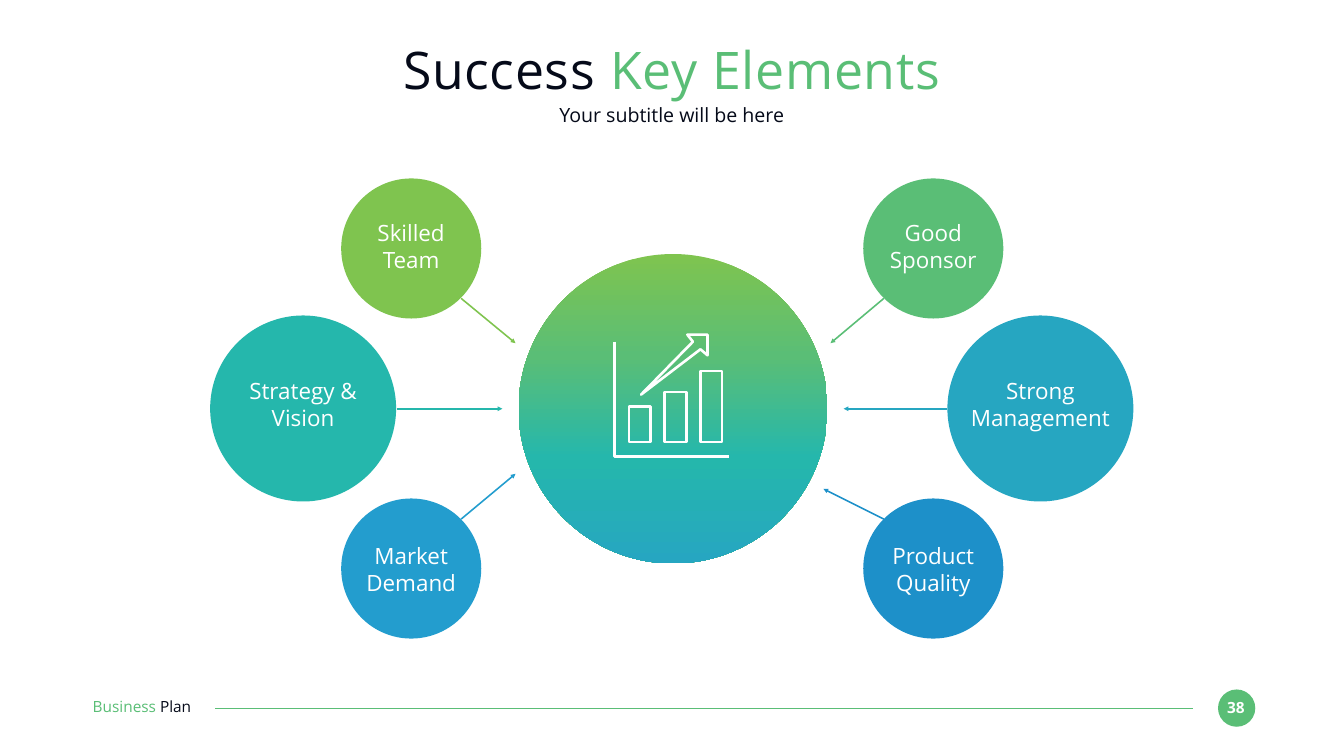
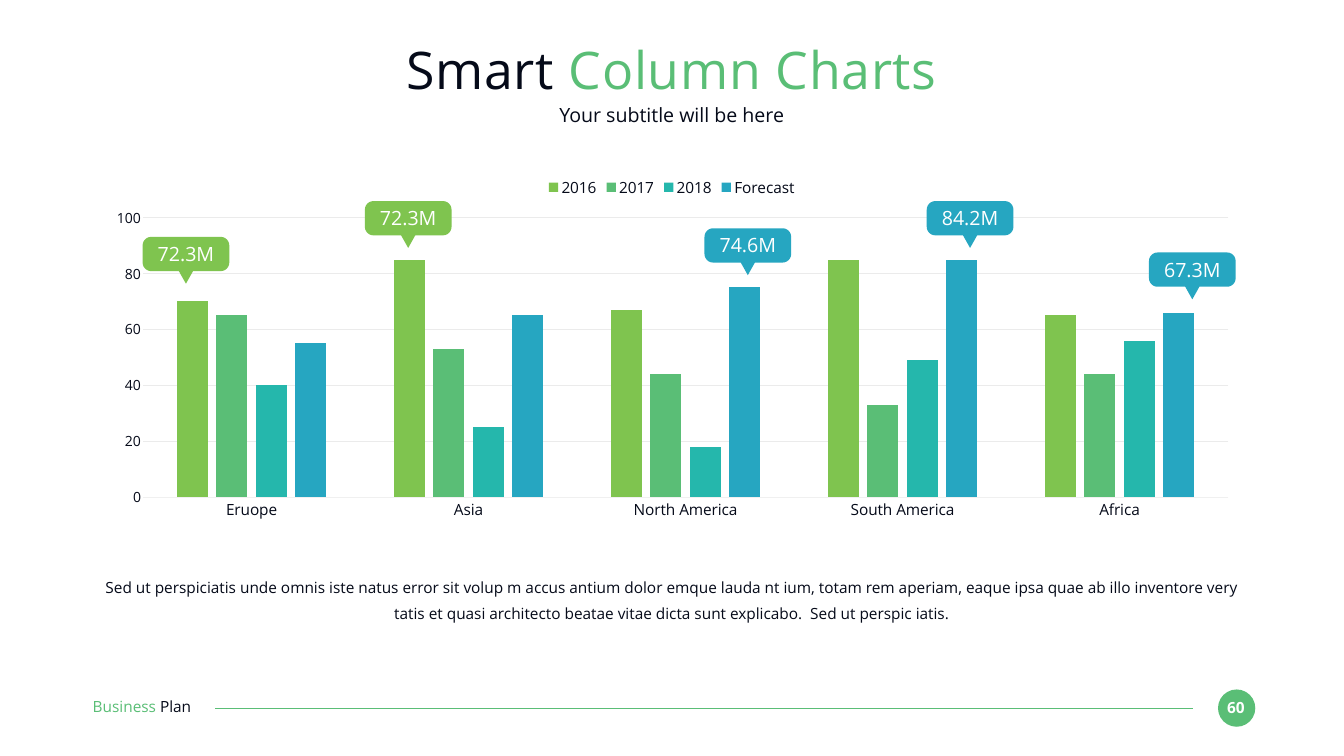
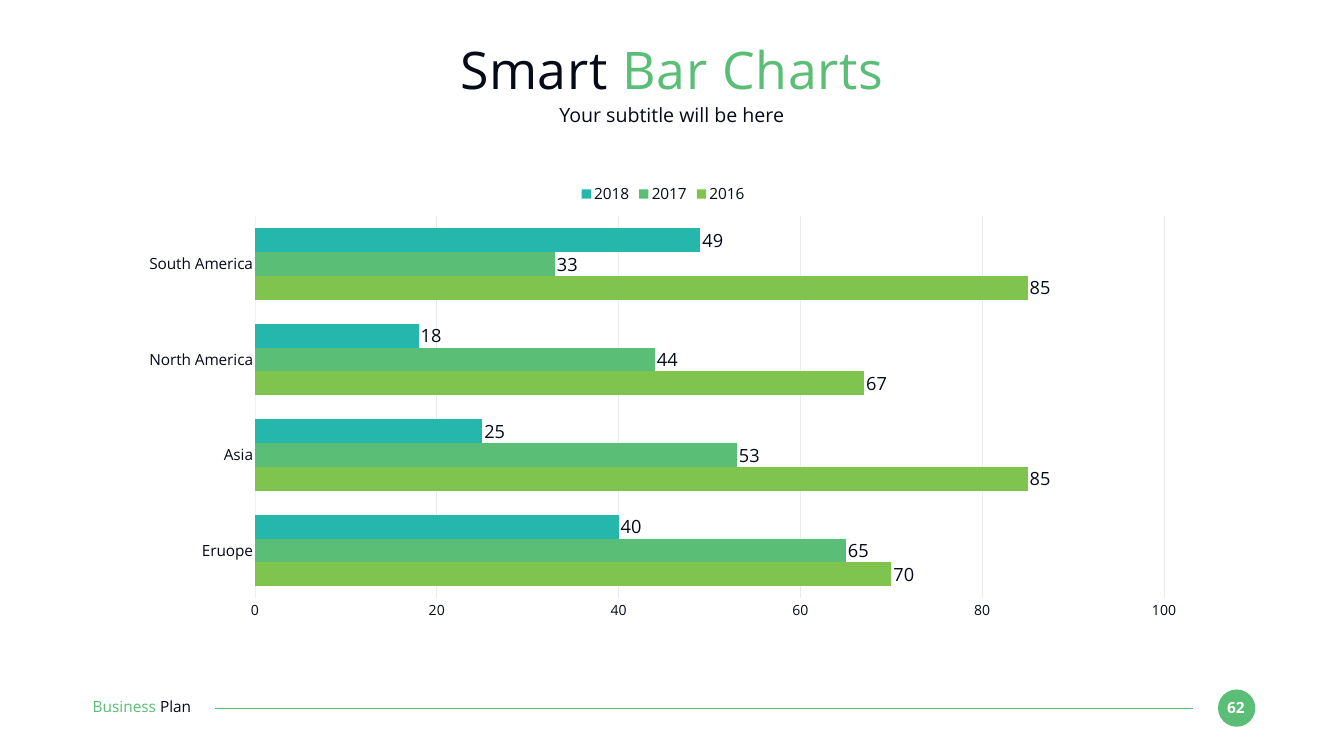
from math import cos, radians, sin

from lxml.etree import SubElement
from pptx import Presentation
from pptx.chart.data import CategoryChartData
from pptx.dml.color import RGBColor
from pptx.enum.chart import XL_CHART_TYPE as ChartType
from pptx.enum.chart import XL_LABEL_POSITION as LabelPosition
from pptx.enum.chart import XL_LEGEND_POSITION as LegendPosition
from pptx.enum.chart import XL_TICK_MARK as TickMark
from pptx.enum.shapes import MSO_CONNECTOR as Connector
from pptx.enum.shapes import MSO_SHAPE as Shape
from pptx.enum.text import MSO_ANCHOR as Anchor
from pptx.enum.text import MSO_AUTO_SIZE as AutoSize
from pptx.enum.text import PP_ALIGN as Align
from pptx.oxml.ns import qn
from pptx.util import Inches, Pt

FONT = "Open Sans"
INK, WHITE = "050A19", "FFFFFF"
LIME, GREEN, TEAL, CYAN = "7FC44F", "5ABE76", "25B7AC", "26A6C1"
SKY, BLUE = "239DCE", "1D90C9"
AXIS_LINE, GRID_LINE = "F0F0F0", "EBEBEB"

SUBTITLE = "Your subtitle will be here"
MARGIN, CONTENT_WIDTH = 1.83, 23

ROWS = {
    "top": {"circle": 3.54, "size": 2.78, "text": 4.34},
    "middle": {"circle": 6.26, "size": 3.69, "text": 7.49},
    "bottom": {"circle": 9.89, "size": 2.78, "text": 10.75},
}
ELEMENTS = [
    ("Skilled Team", LIME, "top", 6.77, 2.23, (9.15, 5.92), (10.23, 6.81)),
    ("Strategy & Vision", TEAL, "middle", 4.17, 2.23, (7.87, 8.11), (9.97, 8.11)),
    ("Market Demand", SKY, "bottom", 6.77, 2.23, (9.15, 10.3), (10.23, 9.4)),
    ("Good Sponsor", GREEN, "top", 17.13, 2.23, (17.54, 5.92), (16.48, 6.81)),
    ("Strong\nManagement", CYAN, "middle", 18.8, 2.91, (18.8, 8.11), (16.74, 8.11)),
    ("Product Quality", BLUE, "bottom", 17.13, 2.23, (17.54, 10.3), (16.34, 9.7)),
]
HUB_STOPS = [(0, LIME), (33, GREEN), (66, TEAL), (100, CYAN)]
ICON_AXES = [(12.19, 6.78), (12.19, 9.06), (14.47, 9.06)]
ICON_ARROW = [(12.72, 7.83), (13.75, 6.78), (13.64, 6.64),
              (14.04, 6.64), (14.04, 7.05), (13.9, 6.93)]
ICON_BAR_TOPS = [8.07, 7.78, 7.36]
ICON_BAR_LEFT, ICON_BAR_STEP, ICON_BAR_WIDTH, ICON_BAR_BASE = 12.48, 0.71, 0.43, 8.77

REGIONS = ["Eruope", "Asia", "North America", "South America", "Africa"]
SERIES = [
    ("2016", LIME, [70, 85, 67, 85, 65]),
    ("2017", GREEN, [65, 53, 44, 33, 44]),
    ("2018", TEAL, [40, 25, 18, 49, 56]),
    ("Forecast", CYAN, [55, 65, 75, 85, 66]),
]
CALLOUTS = [
    ("72.3M", LIME, 2.83, 4.7),
    ("72.3M", LIME, 7.24, 3.99),
    ("74.6M", CYAN, 13.98, 4.53),
    ("84.2M", CYAN, 18.39, 3.99),
    ("67.3M", CYAN, 22.8, 5.01),
]
CALLOUT_WIDTH, CALLOUT_BODY, CALLOUT_TIP = 1.72, 0.68, 0.93
CALLOUT_RADIUS, POINTER_HALF = 0.17, 0.14
SUMMARY = (
    "Sed ut perspiciatis unde omnis iste natus error sit volup m accus antium dolor "
    "emque lauda nt ium, totam rem aperiam, eaque ipsa quae ab illo inventore very "
    "tatis et quasi architecto beatae vitae dicta sunt explicabo.  Sed ut perspic iatis."
)


def color(value):
    return RGBColor.from_string(value)


def style_font(font, size, value, bold=False):
    font.name = FONT
    font.size = Pt(size)
    font.bold = bold
    font.color.rgb = color(value)


def add_text(page, place, runs, size, align=Align.CENTER, bold=False, grow=True, spacing=0):
    box = page.shapes.add_textbox(*map(Inches, place))
    frame = box.text_frame
    frame.margin_left = frame.margin_right = frame.margin_top = frame.margin_bottom = 0
    frame.word_wrap = True
    frame.auto_size = AutoSize.SHAPE_TO_FIT_TEXT if grow else AutoSize.NONE
    frame.vertical_anchor = Anchor.TOP if grow else Anchor.MIDDLE
    para = frame.paragraphs[0]
    para.alignment = align
    for text, value in runs:
        for index, line in enumerate(text.split("\n")):
            if index:
                para = frame.add_paragraph()
                para.alignment = align
            span = para.add_run()
            span.text = line
            style_font(span.font, size, value, bold)
            if spacing:
                span.font._element.set("spc", str(spacing))
    return box


def add_circle(page, left, top, width, height, value):
    circle = page.shapes.add_shape(Shape.OVAL, *map(Inches, (left, top, width, height)))
    circle.shadow.inherit = False
    circle.fill.solid()
    circle.fill.fore_color.rgb = color(value)
    circle.line.fill.background()
    return circle


def add_line(page, start, end, value, width, arrow=False):
    line = page.shapes.add_connector(Connector.STRAIGHT, *map(Inches, (*start, *end)))
    line.line.color.rgb = color(value)
    line.line.width = Pt(width)
    if arrow:
        SubElement(line.line._get_or_add_ln(), qn("a:tailEnd"), type="triangle")
    SubElement(line._element.spPr, qn("a:effectLst"))


def add_outline(page, contours):
    builder = None
    for points, closed in contours:
        first, *rest = [(Inches(x), Inches(y)) for x, y in points]
        if builder is None:
            builder = page.shapes.build_freeform(*first)
        else:
            builder.move_to(*first)
        builder.add_line_segments(rest, close=closed)
    outline = builder.convert_to_shape()
    outline.shadow.inherit = False
    return outline


def add_page(deck, number, lead, accent):
    page = deck.slides.add_slide(deck.slide_layouts[6])
    page.background.fill.solid()
    page.background.fill.fore_color.rgb = color(WHITE)
    add_circle(page, 24.17, 13.68, 0.74, 0.74, GREEN)
    add_text(page, (24.23, 13.85, 0.59, 0.37), [(str(number), WHITE)], 22, bold=True)
    add_line(page, (23.67, 14.05), (4.27, 14.05), GREEN, 1.5)
    add_text(page, (1.84, 13.84, 2.59, 0.37), [("Business ", GREEN), ("Plan", INK)], 22, Align.LEFT)
    add_text(page, (MARGIN, 0.73, CONTENT_WIDTH, 1.27), [(lead + " ", INK), (accent, GREEN)],
             74, grow=False, spacing=100)
    add_text(page, (MARGIN, 2.03, CONTENT_WIDTH, 0.49), [(SUBTITLE, INK)], 28, grow=False)
    return page


def add_hub(page):
    hub = add_circle(page, 10.29, 5.04, 6.13, 6.14, TEAL)
    hub.fill.gradient()
    hub.fill.gradient_angle = 270
    stops = hub._element.spPr.find(qn("a:gradFill")).find(qn("a:gsLst"))
    for stop in list(stops):
        stops.remove(stop)
    for percent, value in HUB_STOPS:
        stop = SubElement(stops, qn("a:gs"), pos=str(percent * 1000))
        SubElement(stop, qn("a:srgbClr"), val=value)


def add_growth_icon(page):
    contours = [(ICON_AXES, False), (ICON_ARROW, True)]
    for index, top in enumerate(ICON_BAR_TOPS):
        left = ICON_BAR_LEFT + index * ICON_BAR_STEP
        right = left + ICON_BAR_WIDTH
        bar = [(left, top), (right, top), (right, ICON_BAR_BASE), (left, ICON_BAR_BASE)]
        contours.append((bar, True))
    icon = add_outline(page, contours)
    icon.fill.background()
    icon.line.color.rgb = color(WHITE)
    icon.line.width = Pt(3.75)
    SubElement(icon.line._get_or_add_ln(), qn("a:round"))


def add_callout(page, label, value, left, top):
    right, bottom = left + CALLOUT_WIDTH, top + CALLOUT_BODY
    middle, radius = left + CALLOUT_WIDTH / 2, CALLOUT_RADIUS

    def corner(x, y, start):
        angles = [radians(start + step * 15) for step in range(7)]
        return [(x + radius * cos(angle), y + radius * sin(angle)) for angle in angles]

    points = (
        corner(left + radius, top + radius, 180)
        + corner(right - radius, top + radius, 270)
        + corner(right - radius, bottom - radius, 0)
        + [(middle + POINTER_HALF, bottom), (middle, top + CALLOUT_TIP), (middle - POINTER_HALF, bottom)]
        + corner(left + radius, bottom - radius, 90)
    )
    callout = add_outline(page, [(points, True)])
    callout.fill.solid()
    callout.fill.fore_color.rgb = color(value)
    callout.line.fill.background()
    add_text(page, (left + 0.14, top + 0.1, 1.44, 0.47), [(label, WHITE)], 28)


def place_plot(chart, frame, plot):
    area = chart._chartSpace.chart.plotArea
    for old in area.findall(qn("c:layout")):
        area.remove(old)
    layout = SubElement(area, qn("c:layout"))
    area.insert(0, layout)
    manual = SubElement(layout, qn("c:manualLayout"))
    left, top, width, height = frame
    settings = [
        ("layoutTarget", "inner"), ("xMode", "edge"), ("yMode", "edge"),
        ("x", (plot[0] - left) / width), ("y", (plot[1] - top) / height),
        ("w", plot[2] / width), ("h", plot[3] / height),
    ]
    for name, setting in settings:
        SubElement(manual, qn("c:" + name), val=str(setting))


def add_bars(page, kind, frame, plot_place, regions, series, gap, overlap, labelled=False):
    data = CategoryChartData()
    data.categories = regions
    for name, _, values in series:
        data.add_series(name, values[:len(regions)])
    chart = page.shapes.add_chart(kind, *map(Inches, frame), data).chart
    style_font(chart.font, 22, INK)
    chart.has_title = False
    chart.has_legend = True
    chart.legend.position = LegendPosition.TOP
    chart.legend.include_in_layout = False
    style_font(chart.legend.font, 22, INK)

    for axis, size in ((chart.category_axis, 22), (chart.value_axis, 20)):
        axis.major_tick_mark = axis.minor_tick_mark = TickMark.NONE
        style_font(axis.tick_labels.font, size, INK)
    chart.category_axis.format.line.color.rgb = color(AXIS_LINE)
    chart.category_axis.format.line.width = Pt(0.75)
    scale = chart.value_axis
    scale.minimum_scale, scale.maximum_scale, scale.major_unit = 0, 100, 20
    scale.format.line.fill.background()
    scale.has_major_gridlines = True
    scale.major_gridlines.format.line.color.rgb = color(GRID_LINE)
    scale.major_gridlines.format.line.width = Pt(1)

    plot = chart.plots[0]
    plot.vary_by_categories = False
    plot.gap_width, plot.overlap = gap, overlap
    for bars, (_, value, _) in zip(plot.series, series):
        bars.format.fill.solid()
        bars.format.fill.fore_color.rgb = color(value)
        if labelled:
            labels = bars.data_labels
            labels.show_value = True
            labels.position = LabelPosition.OUTSIDE_END
            style_font(labels.font, 26, INK)
    place_plot(chart, frame, plot_place)


def build_elements(deck):
    page = add_page(deck, 38, "Success", "Key Elements")
    for _, value, row, left, _, _, _ in ELEMENTS:
        size = ROWS[row]["size"]
        add_circle(page, left, ROWS[row]["circle"], size, size, value)
    for _, value, _, _, _, start, end in ELEMENTS:
        add_line(page, start, end, value, 2.25, arrow=True)
    add_hub(page)
    for label, _, row, left, width, _, _ in ELEMENTS:
        text_left = left + (ROWS[row]["size"] - width) / 2
        add_text(page, (text_left, ROWS[row]["text"], width, 1.08), [(label, WHITE)], 32)
    add_growth_icon(page)


def build_columns(deck):
    page = add_page(deck, 60, "Smart", "Column Charts")
    add_bars(page, ChartType.COLUMN_CLUSTERED, (MARGIN, 3.38, CONTENT_WIDTH, 7.05),
             (2.84, 4.32, 21.53, 5.54), REGIONS, SERIES, 219, -27)
    summary = add_text(page, (MARGIN, 11.33, CONTENT_WIDTH, 0.99), [(SUMMARY, INK)], 22)
    para = summary.text_frame.paragraphs[0]
    para.line_spacing = 1.4
    para.space_after = Pt(36)
    for callout in CALLOUTS:
        add_callout(page, *callout)


def build_bars(deck):
    page = add_page(deck, 62, "Smart", "Bar Charts")
    add_bars(page, ChartType.BAR_CLUSTERED, (2.54, 3.51, 21.23, 8.96),
             (5.06, 4.29, 18.04, 7.58), REGIONS[:4], SERIES[:3], 102, 0, labelled=True)


def main():
    deck = Presentation()
    deck.slide_width, deck.slide_height = Inches(26.67), Inches(15)
    build_elements(deck)
    build_columns(deck)
    build_bars(deck)
    deck.save("out.pptx")


if __name__ == "__main__":
    main()
